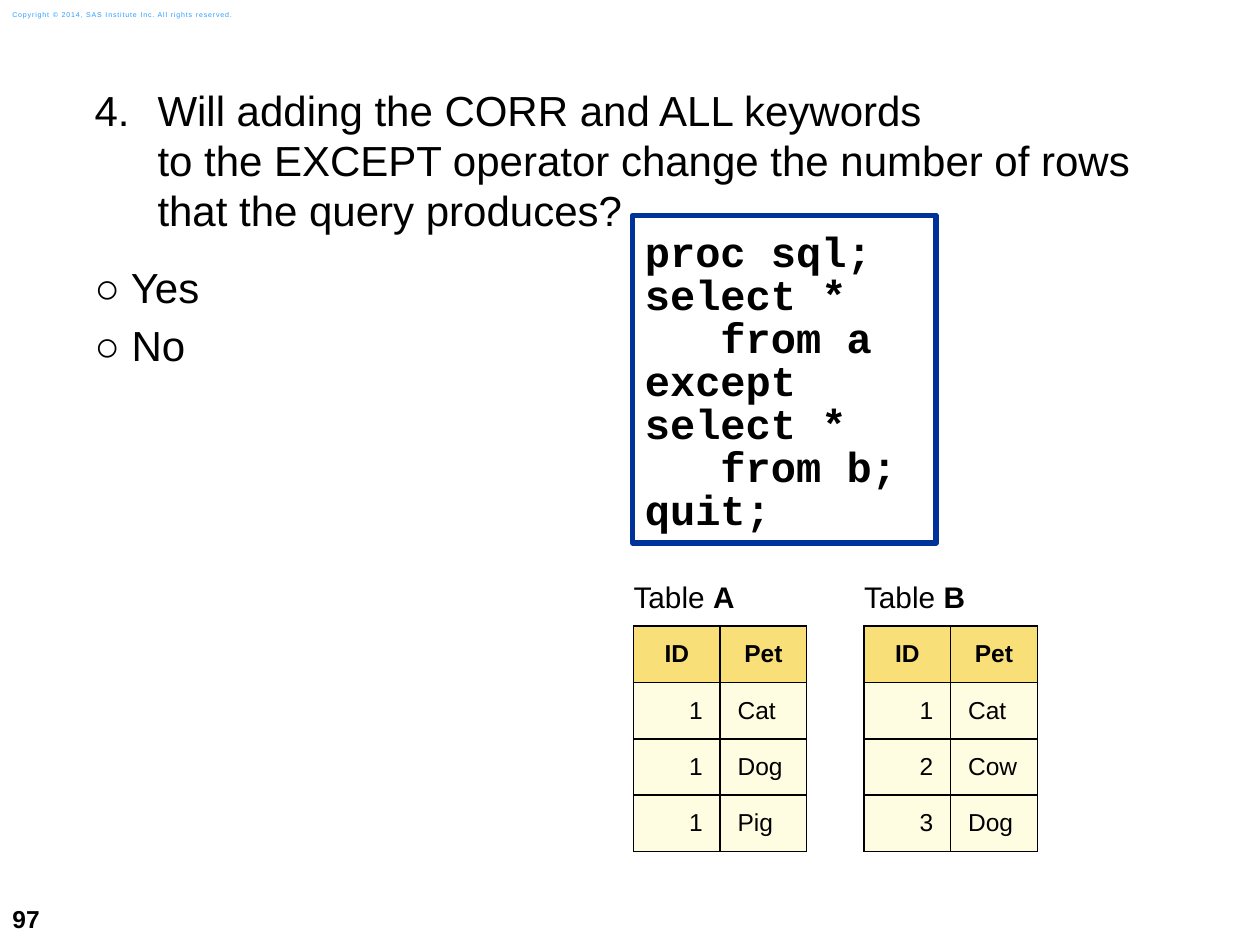
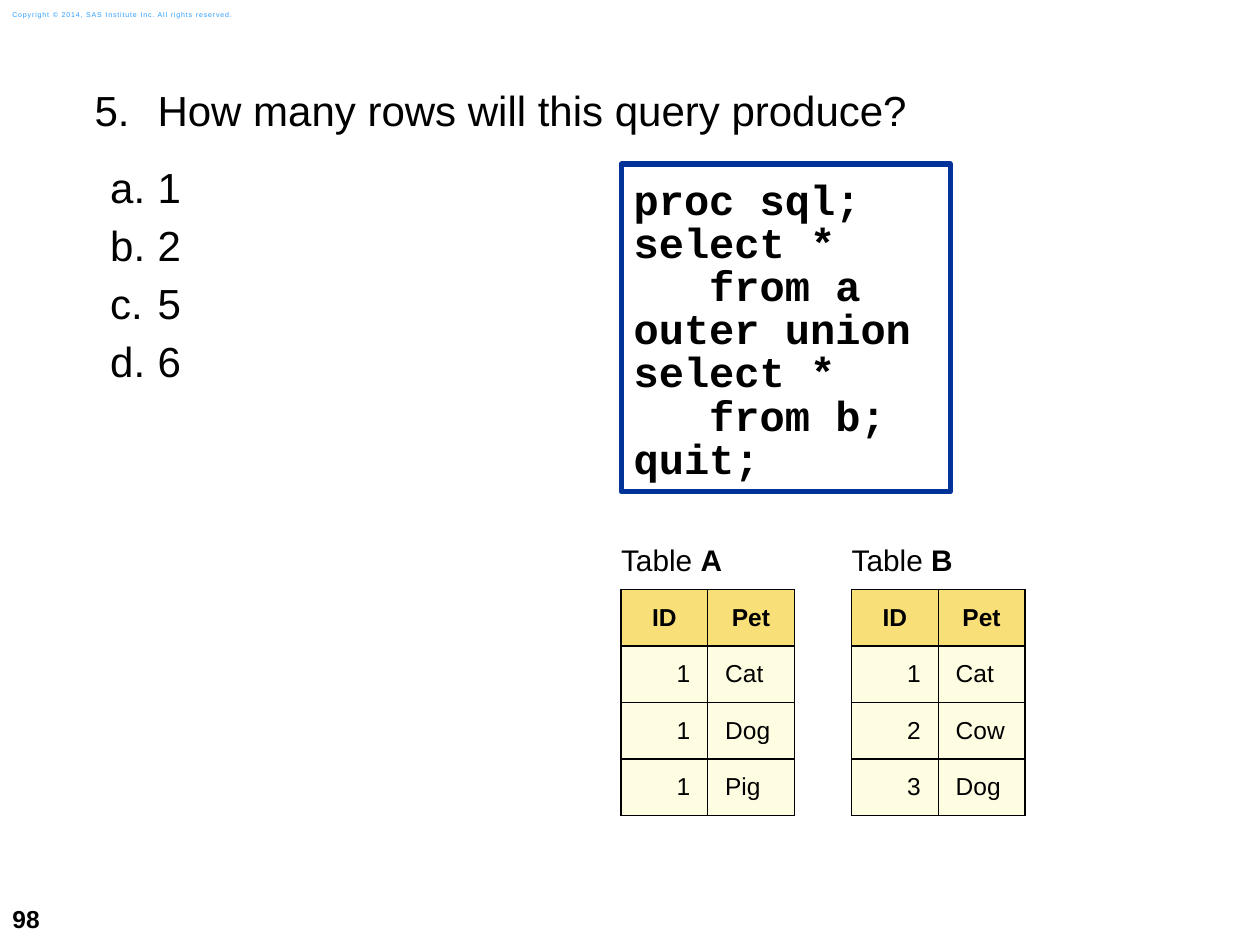
"""Build two quiz slides about SQL set operators."""
from dataclasses import dataclass

from lxml.etree import SubElement
from pptx import Presentation
from pptx.dml.color import RGBColor
from pptx.enum.shapes import MSO_SHAPE
from pptx.enum.text import MSO_ANCHOR, MSO_AUTO_SIZE, PP_ALIGN
from pptx.oxml import parse_xml
from pptx.oxml.ns import nsdecls, qn
from pptx.util import Pt


@dataclass(frozen=True)
class Theme:
    """Colours, fonts and type sizes shared by the slides."""
    ink: str = "000000"
    paper: str = "FFFFFF"
    copyright: str = "2A9CFF"
    frame: str = "003399"
    header: str = "F9DF78"
    cell: str = "FFFDE1"
    sans: str = "Arial"
    mono: str = "Courier New"
    body_size: float = 24
    label_size: float = 17
    cell_size: float = 14
    copyright_size: float = 4


@dataclass(frozen=True)
class Box:
    """A rectangle in points."""
    left: float
    top: float
    width: float
    height: float

    def lengths(self):
        """Return the rectangle as slide lengths."""
        return [Pt(value) for value in (self.left, self.top, self.width, self.height)]


THEME = Theme()
NO_GRID = "{2D5ABB26-0587-4C30-8999-92F81FD0307C}"
BODY_BOX = Box(54, 48.2, 617.8, 336.2)
NUMBER_BOX = Box(0, 509.8, 41.8, 30.2)
COPYRIGHT_BOX = Box(0, 2.2, 151.9, 12.2)
COPYRIGHT = "Copyright © 2014, SAS Institute Inc. All rights reserved."
BODY_PITCH, CODE_PITCH = 28.6, 24.6
COLUMN_WIDTH, ROW_HEIGHT, TABLE_STEP = 49.5, 32.28, 131.75
TABLES = {
    "A": [("1", "Cat"), ("1", "Dog"), ("1", "Pig")],
    "B": [("1", "Cat"), ("2", "Cow"), ("3", "Dog")],
}


def color(code):
    """Turn a hex code into a colour."""
    return RGBColor.from_string(code)


def add_span(para, text, size, bold=False, font=THEME.sans, ink=THEME.ink):
    """Append one formatted run to a paragraph."""
    span = para.add_run()
    span.text = text
    span.font.size = Pt(size)
    span.font.bold = bold
    span.font.name = font
    span.font.color.rgb = color(ink)
    return span


def set_frame(frame, insets, anchor=MSO_ANCHOR.TOP):
    """Set the insets, anchor and wrapping of a text frame."""
    frame.word_wrap = True
    frame.auto_size = MSO_AUTO_SIZE.NONE
    frame.vertical_anchor = anchor
    (frame.margin_left, frame.margin_top,
     frame.margin_right, frame.margin_bottom) = [Pt(inset) for inset in insets]


def paragraphs(frame, items):
    """Yield a paragraph of the frame for each item."""
    for index, item in enumerate(items):
        yield (frame.add_paragraph() if index else frame.paragraphs[0]), item


def set_numbering(para, scheme=None, start=1, indent=0, hanging=0):
    """Give a paragraph automatic numbering, or none."""
    properties = para._p.get_or_add_pPr()
    properties.set("marL", str(Pt(indent)))
    properties.set("indent", str(-Pt(hanging)))
    if scheme is None:
        SubElement(properties, qn("a:buNone"))
        return
    tint = SubElement(properties, qn("a:buClr"))
    SubElement(tint, qn("a:srgbClr"), val=THEME.ink)
    SubElement(properties, qn("a:buFont"), typeface="+mj-lt")
    SubElement(properties, qn("a:buAutoNum"), type=scheme, startAt=str(start))


def add_footer(page, number):
    """Place the copyright line and the page number."""
    for box, text, size, bold, ink in (
            (COPYRIGHT_BOX, COPYRIGHT, THEME.copyright_size, False, THEME.copyright),
            (NUMBER_BOX, str(number), THEME.cell_size, True, THEME.ink)):
        frame = page.shapes.add_textbox(*box.lengths()).text_frame
        set_frame(frame, (7.2, 3.6, 7.2, 3.6), MSO_ANCHOR.MIDDLE)
        span = add_span(frame.paragraphs[0], text, size, bold, ink=ink)
        if text == COPYRIGHT:
            span.font._element.set("spc", "50")


def add_question(page, box, number, question_lines, answers, lettered):
    """Fill the body placeholder with a numbered question and its answers."""
    body = page.placeholders[1]
    body.left, body.top, body.width, body.height = box.lengths()
    frame = body.text_frame
    set_frame(frame, (0, 0, 0, 0))
    for para, lines in paragraphs(frame, [question_lines, *([text] for text in answers)]):
        is_question = lines is question_lines
        if is_question:
            set_numbering(para, "arabicPeriod", number, 36, 36)
        elif lettered:
            para.level = 1
            set_numbering(para, "alphaLcPeriod", 1, 36, 27)
        else:
            set_numbering(para)
        para.alignment = PP_ALIGN.LEFT
        para.line_spacing = Pt(BODY_PITCH)
        para.space_before = Pt(0)
        para.space_after = Pt(15.8 if is_question else 4.5)
        for index, line in enumerate(lines):
            if index:
                para.add_line_break()
            add_span(para, line, THEME.body_size)


def add_code(page, box, lines):
    """Draw the framed program listing."""
    panel = page.shapes.add_shape(MSO_SHAPE.RECTANGLE, *box.lengths())
    panel.shadow.inherit = False
    panel.fill.solid()
    panel.fill.fore_color.rgb = color(THEME.paper)
    panel.line.color.rgb = color(THEME.frame)
    panel.line.width = Pt(3)
    set_frame(panel.text_frame, (7.2, 9.7, 7.2, 0))
    for para, line in paragraphs(panel.text_frame, lines):
        para.alignment = PP_ALIGN.LEFT
        para.line_spacing = Pt(CODE_PITCH)
        add_span(para, line, THEME.body_size, True, THEME.mono)


def set_borders(cell, sides):
    """Draw thin lines on the named sides of a cell."""
    properties = cell._tc.get_or_add_tcPr()
    for index, side in enumerate(sides):
        properties.insert(index, parse_xml(
            f'<a:ln{side} {nsdecls("a")} w="{Pt(1)}"><a:solidFill>'
            f'<a:srgbClr val="{THEME.ink}"/></a:solidFill></a:ln{side}>'))


def format_cell(cell, left_inset, fill=None, align=PP_ALIGN.LEFT):
    """Set the insets, fill and alignment of a cell and return its paragraph."""
    cell.margin_left, cell.margin_right = Pt(left_inset), Pt(10)
    cell.margin_top = cell.margin_bottom = Pt(0)
    cell.vertical_anchor = MSO_ANCHOR.MIDDLE
    if fill:
        cell.fill.solid()
        cell.fill.fore_color.rgb = color(fill)
    else:
        cell.fill.background()
    para = cell.text_frame.paragraphs[0]
    para.alignment = align
    return para


def add_pet_table(page, left, top, name, records):
    """Add one labelled table of pets."""
    rows = [("ID", "Pet"), *records]
    box = Box(left, top, 2 * COLUMN_WIDTH, (len(rows) + 1) * ROW_HEIGHT)
    table = page.shapes.add_table(len(rows) + 1, 2, *box.lengths()).table
    table.first_row = table.horz_banding = False
    table._tbl.tblPr.find(qn("a:tableStyleId")).text = NO_GRID
    for column in table.columns:
        column.width = Pt(COLUMN_WIDTH)
    for row in table.rows:
        row.height = Pt(ROW_HEIGHT)
    label = table.cell(0, 0)
    label.merge(table.cell(0, 1))
    para = format_cell(label, 0)
    add_span(para, "Table ", THEME.label_size)
    add_span(para, name, THEME.label_size, True)
    for column in range(2):
        set_borders(table.cell(0, column), "B")
    for row, values in enumerate(rows, 1):
        is_header = row == 1
        for column, value in enumerate(values):
            cell = table.cell(row, column)
            align = PP_ALIGN.CENTER if is_header else (PP_ALIGN.RIGHT, PP_ALIGN.LEFT)[column]
            para = format_cell(cell, 10, THEME.header if is_header else THEME.cell, align)
            add_span(para, value, THEME.cell_size, is_header)
            set_borders(cell, "LRTB")


def add_quiz_page(deck, number, question, code_box, operator, tables_at):
    """Add a slide with a question, its query and both tables."""
    page = deck.slides.add_slide(deck.slide_layouts[1])
    title = page.shapes.title._element
    title.getparent().remove(title)
    add_footer(page, number)
    add_question(page, BODY_BOX, *question)
    add_code(page, code_box, ["proc sql;", "select *", "   from a", operator,
                              "select *", "   from b;", "quit;"])
    left, top = tables_at
    for index, (name, records) in enumerate(TABLES.items()):
        add_pet_table(page, left + index * TABLE_STEP, top, name, records)


def main():
    """Build and save the deck."""
    deck = Presentation()
    deck.slide_width, deck.slide_height = Pt(720), Pt(540)
    add_quiz_page(
        deck, 97,
        (4, ["Will adding the CORR and ALL keywords",
             "to the EXCEPT operator change the number of rows that the query produces?"],
         ["○ Yes", "○ No"], False),
        Box(361.4, 123.1, 173.5, 187.2), "except", (362, 325.4))
    add_quiz_page(
        deck, 98,
        (5, ["How many rows will this query produce?"], ["1", "2", "5", "6"], True),
        Box(355, 93.8, 188, 187.2), "outer union", (354.9, 304.7))
    deck.save("out.pptx")


if __name__ == "__main__":
    main()
